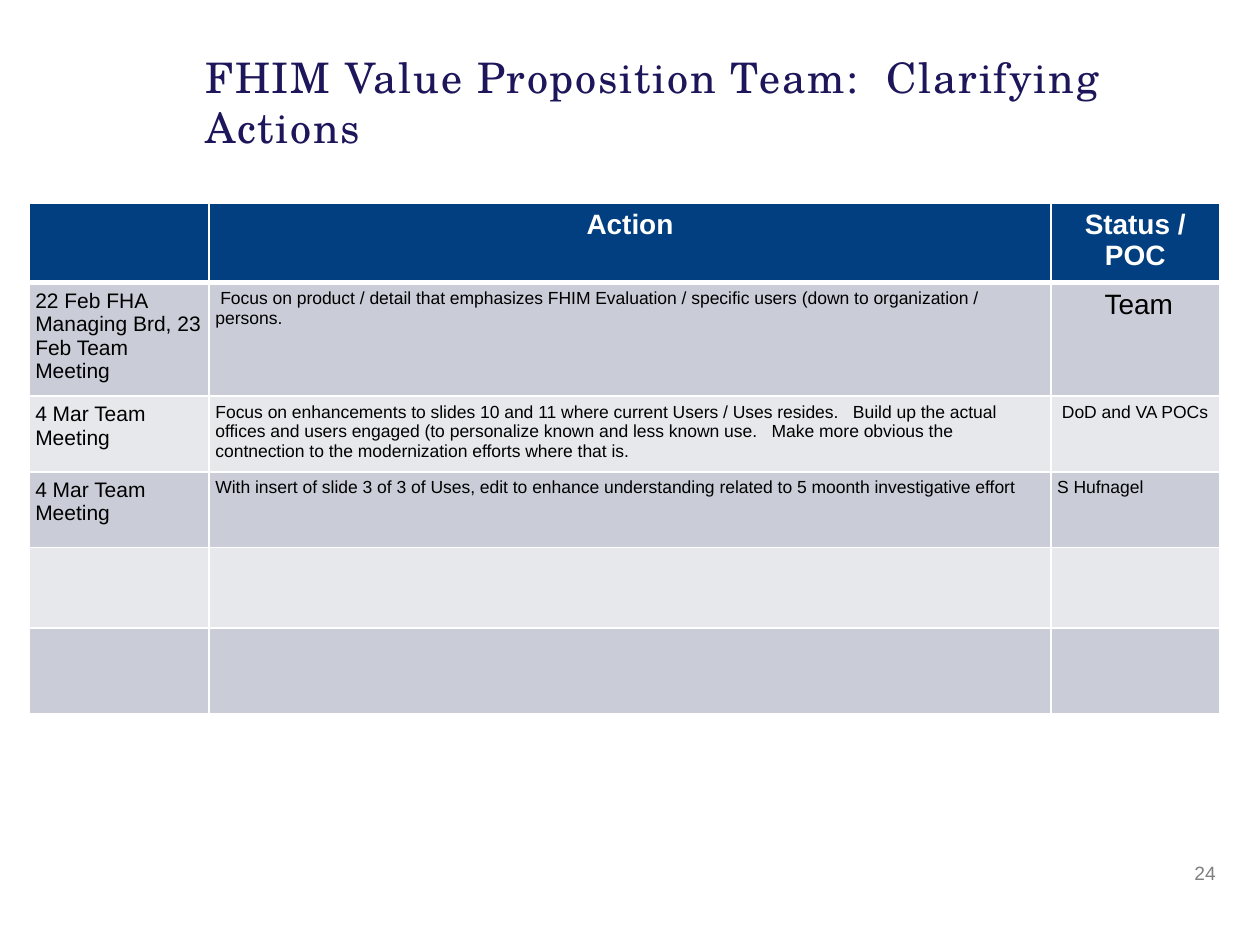
from dataclasses import dataclass

from lxml.etree import SubElement
from pptx import Presentation
from pptx.dml.color import RGBColor as RGB
from pptx.enum.text import MSO_ANCHOR as Anchor, MSO_AUTO_SIZE as Fit, PP_ALIGN as Align
from pptx.oxml.ns import qn
from pptx.util import Inches, Pt


@dataclass(frozen=True)
class Theme:
    head: str = "013F80"
    bands: tuple = ("CACDD7", "E6E8EC")
    rule: str = "FFFFFF"
    title: str = "1D165A"
    ink: str = "000000"
    grey: str = "808080"
    serif: str = "TeX Gyre Schola"
    sans: str = "Arial"
    big: int = 24
    mid: int = 16
    date: int = 12
    page: int = 11
    small: int = 10


LOOK = Theme()
COLS = (1.43, 6.68, 1.34)
ROWS = (0.49, 0.52, 0.58, 0.6, 0.64, 0.68)
HEAD = ("", "Action", "Status / POC")
ACTIONS = (
    ("22 Feb FHA Managing Brd, 23 Feb Team Meeting",
     " Focus on product / detail that emphasizes FHIM Evaluation / specific users "
     "(down to organization / persons.",
     " Team"),
    ("4 Mar Team Meeting",
     "Focus on enhancements to slides 10 and 11 where current Users / Uses resides.   "
     "Build up the actual offices and users engaged (to personalize known and less known use.   "
     "Make more obvious the contnection to the modernization efforts where that is.",
     " DoD and VA POCs"),
    ("4 Mar Team Meeting",
     "With insert of slide 3 of 3 of Uses, edit to enhance understanding related to "
     "5 moonth investigative effort",
     "S Hufnagel"),
    ("", "", ""),
    ("", "", ""),
)


def place(shape, left, top, width, height):
    shape.left, shape.top = Inches(left), Inches(top)
    shape.width, shape.height = Inches(width), Inches(height)


def inset(box):
    """Give a text frame or a cell the same narrow margin on every side."""
    for side in ("left", "top", "right", "bottom"):
        setattr(box, f"margin_{side}", Inches(0.05))


def write(frame, text, size, color, face=LOOK.sans, bold=False, align=Align.LEFT):
    frame.text = text
    para = frame.paragraphs[0]
    para.alignment = align
    for run in para.runs:
        font = run.font
        font.size, font.name, font.bold = Pt(size), face, bold
        font.color.rgb = RGB.from_string(color)


def add_title(slide, text):
    title = slide.shapes.title
    place(title, 1.58, 0.18, 8.42, 1.25)
    frame = title.text_frame
    inset(frame)
    frame.auto_size = Fit.NONE
    frame.vertical_anchor = Anchor.MIDDLE
    write(frame, text, LOOK.big, LOOK.title, LOOK.serif)
    for run in frame.paragraphs[0].runs:
        run.font._element.set("spc", "100")


def add_page(slide, text):
    box = slide.shapes.add_textbox(Inches(9.42), Inches(6.79), Inches(0.28), Inches(0.26))
    frame = box.text_frame
    inset(frame)
    frame.word_wrap = False
    frame.auto_size = Fit.SHAPE_TO_FIT_TEXT
    write(frame, text, LOOK.page, LOOK.grey, align=Align.RIGHT)


def edge(cell, base):
    """Draw white rules round a cell; base is the width of the bottom one."""
    props = cell._tc.get_or_add_tcPr()
    for tag, width in (("lnL", 1), ("lnR", 1), ("lnT", 1), ("lnB", base)):
        line = SubElement(props, qn(f"a:{tag}"), w=str(Pt(width)))
        fill = SubElement(line, qn("a:solidFill"))
        SubElement(fill, qn("a:srgbClr"), val=LOOK.rule)


def fill_cell(cell, text, fill, base=1, **style):
    inset(cell)
    edge(cell, base)
    cell.fill.solid()
    cell.fill.fore_color.rgb = RGB.from_string(fill)
    write(cell.text_frame, text, **style)


def add_grid(slide):
    grid = slide.shapes.add_table(len(ROWS), len(COLS), Inches(0.23), Inches(1.61),
                                  Inches(sum(COLS)), Inches(sum(ROWS))).table
    for col, width in zip(grid.columns, COLS):
        col.width = Inches(width)
    for row, height in zip(grid.rows, ROWS):
        row.height = Inches(height)
    for c, text in enumerate(HEAD):
        fill_cell(grid.cell(0, c), text, LOOK.head, base=3, size=LOOK.mid,
                  color=LOOK.rule, bold=True, align=Align.CENTER)
    sizes = (LOOK.date, LOOK.small, LOOK.small)
    for r, texts in enumerate(ACTIONS):
        for c, text in enumerate(texts):
            team = text == " Team"
            fill_cell(grid.cell(r + 1, c), text, LOOK.bands[r % 2],
                      size=LOOK.mid if team else sizes[c], color=LOOK.ink,
                      align=Align.CENTER if team else Align.LEFT)


def main():
    deck = Presentation()
    deck.slide_width, deck.slide_height = Inches(10), Inches(7.5)
    slide = deck.slides.add_slide(deck.slide_layouts[5])
    add_title(slide, "FHIM Value Proposition Team:  Clarifying Actions")
    add_page(slide, "24")
    add_grid(slide)
    deck.save("out.pptx")


if __name__ == "__main__":
    main()
